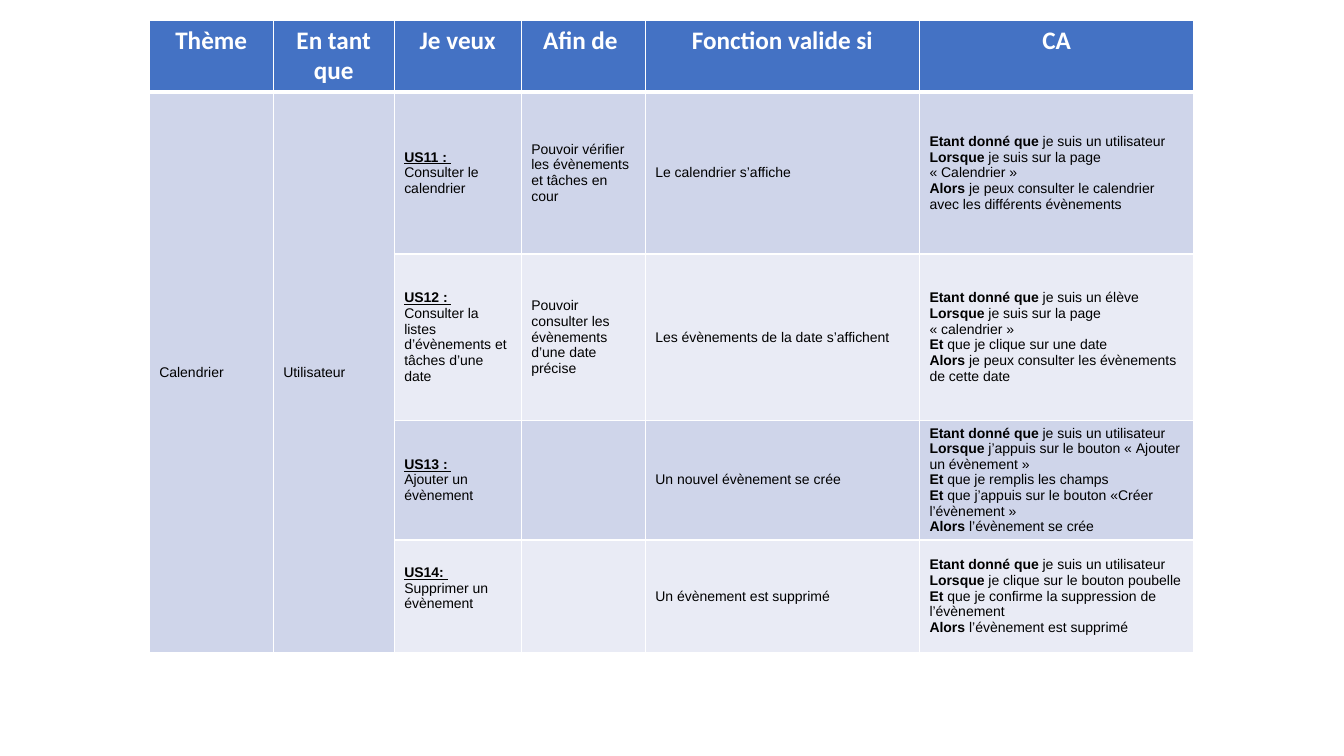
"""Build a slide with the user stories of the calendar theme."""
from copy import deepcopy

from lxml import etree
from pptx import Presentation
from pptx.dml.color import RGBColor
from pptx.enum.text import MSO_ANCHOR, PP_ALIGN
from pptx.oxml.ns import qn
from pptx.util import Inches, Pt

CENTER, LEFT = PP_ALIGN.CENTER, PP_ALIGN.LEFT
TOP, MIDDLE = MSO_ANCHOR.TOP, MSO_ANCHOR.MIDDLE
WHITE = RGBColor(0xFF, 0xFF, 0xFF)
BLACK = RGBColor(0, 0, 0)
BLUE = RGBColor(0x44, 0x72, 0xC4)
BANDS = (RGBColor(0xE9, 0xEB, 0xF5), RGBColor(0xCF, 0xD5, 0xEA))

HEADERS = ["Thème", "En tant que", "Je veux", "Afin de ", "Fonction valide si", "CA"]
THEME, USER = "Calendrier", "Utilisateur"
# "|" separates bold and regular text, starting with bold
STORIES = [
    ("US11 : \vConsulter le calendrier",
     "Pouvoir vérifier les évènements et tâches en cour",
     "Le calendrier s’affiche",
     ["Etant donné que |je suis un utilisateur |Lorsque |je suis sur la page «\u00a0Calendrier\u00a0» ",
      "Alors |je peux consulter le calendrier avec les différents évènements"]),
    ("US12 : \vConsulter la listes d’évènements et tâches d’une date",
     "Pouvoir consulter les évènements d’une date précise",
     "Les évènements de la date s’affichent",
     ["Etant donné que |je suis un élève",
      "Lorsque |je suis sur la page «\u00a0calendrier\u00a0»",
      "Et |que je clique sur une date ",
      "Alors |je peux consulter les évènements de cette date"]),
    ("US13 : \vAjouter un évènement",
     "",
     "Un nouvel évènement se crée",
     ["Etant donné que| je suis un utilisateur",
      "Lorsque| j’appuis sur le bouton «\u00a0Ajouter un évènement\u00a0»",
      "Et| que je remplis les champs",
      "Et |que j’appuis sur le bouton «Créer l’évènement\u00a0»\u00a0",
      "Alors |l’évènement se crée"]),
    ("US14: \vSupprimer un évènement",
     "",
     "Un évènement est supprimé",
     ["Etant donné que| je suis un utilisateur",
      "Lorsque |je clique sur le bouton poubelle",
      "Et |que je confirme la suppression de l’évènement",
      "Alors |l’évènement est supprimé"]),
]
COL_WIDTHS = [1.23, 1.2, 1.26, 1.23, 2.72, 2.72]
ROW_HEIGHTS = [0.66, 1.61, 1.65, 1.12, 1.12]
LEFT_EDGE, TOP_EDGE = 1.48, 0.2


def style(r, name, size, color, bold, underline=False):
    r.font.name, r.font.size, r.font.bold = name, Pt(size), bold
    r.font.underline = underline
    r.font.color.rgb = color


def set_borders(cell, widths):
    tcPr = cell._tc.get_or_add_tcPr()
    for i, (side, width) in enumerate(widths.items()):
        ln = etree.Element(qn("a:ln" + side), w=str(Pt(width)))
        fill = etree.SubElement(ln, qn("a:solidFill"))
        etree.SubElement(fill, qn("a:srgbClr"), val=str(WHITE))
        tcPr.insert(i, ln)


def fill_cell(cell, lines):
    tf = cell.text_frame
    for i, line in enumerate(lines):
        p = tf.paragraphs[0] if i == 0 else tf.add_paragraph()
        p.alignment = LEFT
        if "|" in line:
            for part in line.split("|"):
                p.add_run().text = part
        else:
            p.text = line
        story = "\v" in line
        for n, r in enumerate(p.runs):
            bold = len(p.runs) > 1 and n % 2 == 0
            style(r, "Arial", 10, BLACK, bold, story and bold)
        for br in p._p.findall(qn("a:br")):
            br.append(deepcopy(p.runs[0]._r.rPr))


prs = Presentation()
prs.slide_width, prs.slide_height = Inches(13.33), Inches(7.5)
s = prs.slides.add_slide(prs.slide_layouts[6])
table = s.shapes.add_table(
    len(ROW_HEIGHTS), len(COL_WIDTHS), Inches(LEFT_EDGE), Inches(TOP_EDGE),
    Inches(sum(COL_WIDTHS)), Inches(sum(ROW_HEIGHTS))).table
for col, width in zip(table.columns, COL_WIDTHS):
    col.width = Inches(width)
for row, height in zip(table.rows, ROW_HEIGHTS):
    row.height = Inches(height)

for y, row in enumerate(table.rows):
    for x, cell in enumerate(row.cells):
        cell.fill.solid()
        cell.fill.fore_color.rgb = BANDS[1 if x < 2 else y % 2] if y else BLUE
        cell.vertical_anchor = MIDDLE if y else TOP
        set_borders(cell, {"L": 1, "R": 1, "T": 3 if y == 1 else 1, "B": 1 if y else 3})

for x, header in enumerate(HEADERS):
    p = table.cell(0, x).text_frame.paragraphs[0]
    p.text, p.alignment = header, CENTER
    style(p.runs[0], "Calibri", 18, WHITE, True)

for x, label in enumerate((THEME, USER)):
    table.cell(1, x).merge(table.cell(len(STORIES), x))
    fill_cell(table.cell(1, x), [label])

for y, (want, purpose, valid, criteria) in enumerate(STORIES, 1):
    for x, lines in enumerate(([want], [purpose], [valid], criteria), 2):
        fill_cell(table.cell(y, x), lines)
table.cell(len(STORIES), 2).margin_bottom = Inches(0.21)

prs.save("out.pptx")
